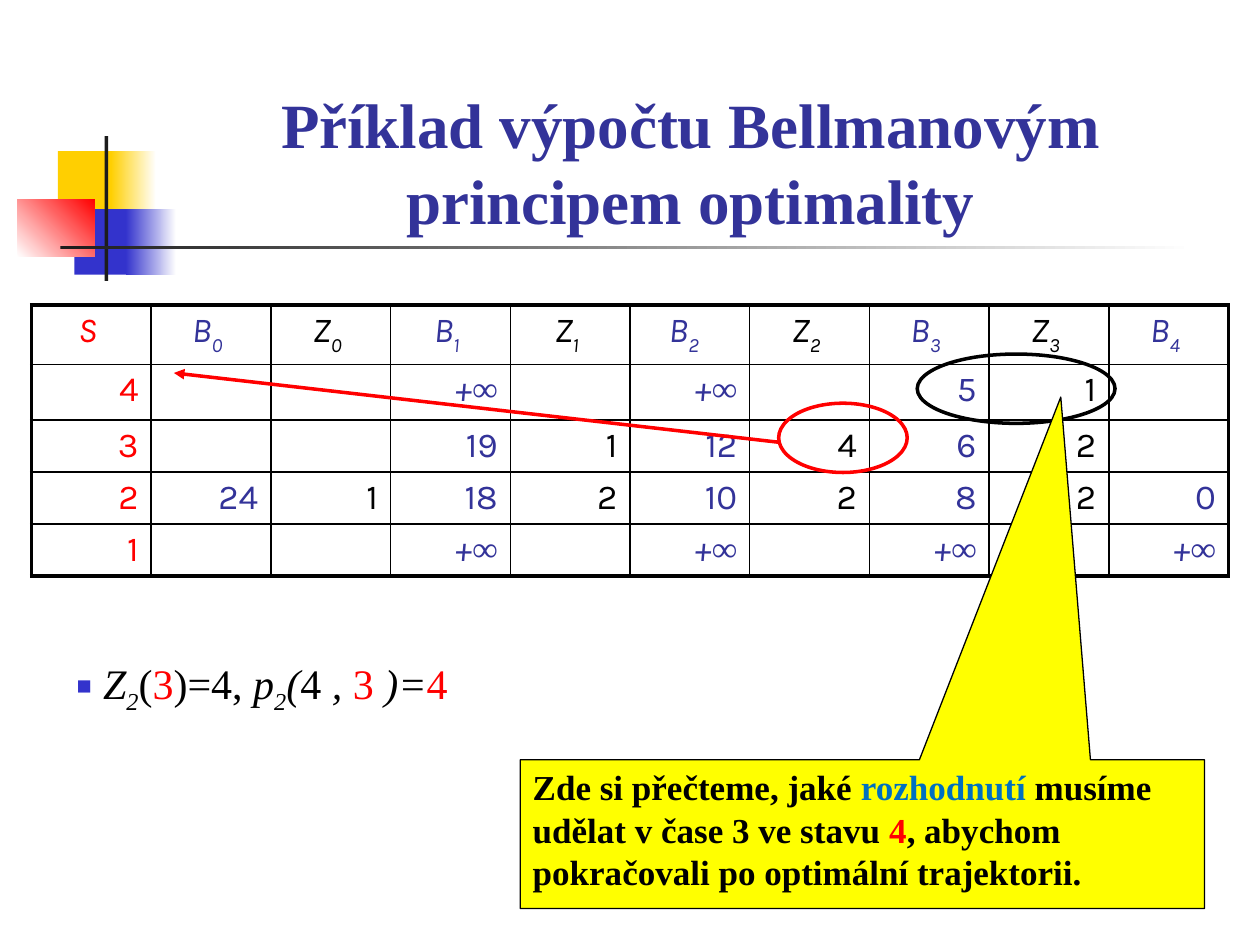
from pptx import Presentation
from pptx.dml.color import RGBColor
from pptx.enum.shapes import MSO_CONNECTOR, MSO_SHAPE
from pptx.enum.text import MSO_ANCHOR, PP_ALIGN
from pptx.oxml.ns import qn
from pptx.util import Inches, Pt
from lxml.etree import SubElement

RED = RGBColor(0xFF, 0x00, 0x00)
NAVY = RGBColor(0x33, 0x33, 0x99)
BLUE = RGBColor(0x33, 0x33, 0xCC)
SKY = RGBColor(0x00, 0x70, 0xC0)
GOLD = RGBColor(0xFF, 0xCF, 0x01)
YELLOW = RGBColor(0xFF, 0xFF, 0x00)
INK = RGBColor(0x1C, 0x1C, 0x1C)
BLACK = RGBColor(0x00, 0x00, 0x00)
WHITE = RGBColor(0xFF, 0xFF, 0xFF)
SERIF, SANS = "Times New Roman", "Karla"


def drop(node, tag, **attrs):
    """Add a DrawingML child to an XML node."""
    return SubElement(node, qn("a:" + tag), attrs)


class Deck:
    """Holds the text style and the current slide."""

    def __init__(self, slide):
        """Start with the plain serif style."""
        self.slide = slide
        self.base = dict(name=SERIF, size=Pt(24), bold=False, italic=False)

    def runs(self, para, parts, **style):
        """Fill a paragraph from (text, colour, format) parts."""
        for text, color, extra in parts:
            run = para.add_run()
            run.text = text
            form = {**self.base, **style, **extra}
            shift = form.pop("shift", None)
            for key, value in form.items():
                setattr(run.font, key, value)
            run.font.color.rgb = color
            if shift:
                run.font._element.set("baseline", str(shift * 1000))

    def text(self, box, parts, **style):
        """Add a wrapping text box and return its text frame."""
        frame = self.slide.shapes.add_textbox(*map(Inches, box)).text_frame
        frame.word_wrap = True
        self.runs(frame.paragraphs[0], parts, **style)
        return frame

    def shape(self, kind, box, fill=None, line=None, width=2, fade=None, angle=0):
        """Add a shape with a solid, fading or empty fill."""
        item = self.slide.shapes.add_shape(kind, *map(Inches, box))
        item.shadow.inherit = False
        if fade:
            item.fill.gradient()
            item.fill.gradient_angle = angle
            for stop, color in zip(item.fill.gradient_stops, fade):
                stop.color.rgb = color
        elif fill is not None:
            item.fill.solid()
            item.fill.fore_color.rgb = fill
        else:
            item.fill.background()
        if line is None:
            item.line.fill.background()
        else:
            item.line.color.rgb = line
            item.line.width = Pt(width)
        return item

    def arrow(self, start, end, color):
        """Add a line with a triangle at its end."""
        line = self.slide.shapes.add_connector(
            MSO_CONNECTOR.STRAIGHT, *map(Inches, start + end))
        line.line.color.rgb = color
        line.line.width = Pt(2)
        drop(line.line._get_or_add_ln(), "tailEnd", type="triangle")
        drop(line._element.spPr, "effectLst")

    def border(self, cell, sides):
        """Draw the cell sides, given as a dict of widths in points."""
        props = cell._tc.get_or_add_tcPr()
        for spot, (side, width) in enumerate(sides.items()):
            line = props.makeelement(qn("a:ln" + side), {"w": str(Pt(width))})
            drop(drop(line, "solidFill"), "srgbClr", val=str(BLACK))
            props.insert(spot, line)

    def table(self, box, heights, rows):
        """Add a ruled table whose cells are lists of text parts."""
        last, end = len(rows) - 1, len(rows[0]) - 1
        grid = self.slide.shapes.add_table(
            last + 1, end + 1, *map(Inches, box)).table
        grid.first_row = grid.horz_banding = False
        for r, row in enumerate(rows):
            grid.rows[r].height = Inches(heights[r])
            for c, parts in enumerate(row):
                cell = grid.cell(r, c)
                cell.fill.background()
                cell.margin_left = cell.margin_top = cell.margin_bottom = Inches(0.04)
                cell.margin_right = Inches(0.1)
                para = cell.text_frame.paragraphs[0]
                para.alignment = PP_ALIGN.RIGHT if r else PP_ALIGN.CENTER
                self.runs(para, parts, name=SANS, size=Pt(20))
                edges = dict(L=c == 0, R=c == end, T=r == 0, B=r == last)
                self.border(cell, {k: 2.25 if v else 1 for k, v in edges.items()})


ITAL = dict(italic=True)
SUB = dict(italic=True, shift=-25)
LOW = dict(italic=True, shift=-30)
HEADS = ["S", "B0", "Z0", "B1", "Z1", "B2 ", "Z2", "B3", "Z3", "B4"]
VALUES = [
    ["4", "", "", "+∞", "", "+∞", "", "5", "1", ""],
    ["3", "", "", "19", "1", "12", "4", "6", "2", ""],
    ["2", "24", "1", "18", "2", "10", "2", "8", "2", "0"],
    ["1", "", "", "+∞", "", "+∞", "", "+∞", "", "+∞"],
]


def tint(col):
    """Give the text colour of a column."""
    return RED if col == 0 else NAVY if col % 2 else BLACK


def head(col, name):
    """Split a heading into its letter and its index."""
    parts = [(name[0], tint(col), ITAL)]
    return parts + [(name[1:], tint(col), LOW)] if name[1:] else parts


def value(col, text):
    """Make the text parts of a table value."""
    if text == "+∞":
        return [("+", tint(col), ITAL), ("∞", tint(col), dict(ITAL, name=SERIF))]
    return [(text, tint(col), {})] if text else []


prs = Presentation()
prs.slide_width, prs.slide_height = Inches(10), Inches(7.5)
deck = Deck(prs.slides.add_slide(prs.slide_layouts[6]))

for box, look in [
    ((0.46, 1.2, 0.48, 0.52), dict(fill=GOLD)),
    ((0.88, 1.2, 0.36, 0.52), dict(fade=(GOLD, WHITE))),
    ((0.59, 1.66, 0.46, 0.52), dict(fill=BLUE)),
    ((1, 1.66, 0.4, 0.52), dict(fade=(BLUE, WHITE))),
    ((0.14, 1.58, 0.61, 0.46), dict(fade=(WHITE, RED), angle=45)),
    ((0.83, 1.08, 0.03, 1.15), dict(fill=INK)),
    ((0.48, 1.95, 9, 0.03), dict(fade=(INK, WHITE))),
]:
    deck.shape(MSO_SHAPE.RECTANGLE, box, **look)

title = deck.text((1.22, 0.68, 8.52, 1.25),
                  [("Příklad výpočtu Bellmanovým principem optimality", NAVY, {})],
                  size=Pt(36), bold=True)
title.vertical_anchor = MSO_ANCHOR.BOTTOM
title.paragraphs[0].alignment = PP_ALIGN.CENTER

rows = [[head(c, name) for c, name in enumerate(HEADS)]]
rows += [[value(c, text) for c, text in enumerate(row)] for row in VALUES]
deck.table((0.25, 2.42, 9.5, 2.13), [0.46, 0.44, 0.41, 0.41, 0.41], rows)

deck.shape(MSO_SHAPE.OVAL, (6.18, 3.2, 1.02, 0.55), line=RED)
deck.arrow((6.18, 3.51), (1.38, 2.96), RED)

note = deck.text((0.51, 5.17, 3.46, 0.71), [
    ("Z", BLACK, ITAL), ("2", BLACK, SUB), ("(", BLACK, {}), ("3", RED, {}),
    (")=4, ", BLACK, {}), ("p", BLACK, ITAL), ("2", BLACK, SUB),
    ("(", BLACK, ITAL), ("4", BLACK, {}), (" , ", BLACK, ITAL),
    ("3", RED, {}), (" )=", BLACK, ITAL), ("4", RED, {})])
note.paragraphs[0].space_before = Pt(3)
props = note.paragraphs[0]._p.get_or_add_pPr()
props.set("marL", str(Inches(0.21)))
props.set("indent", str(Inches(-0.21)))
drop(drop(props, "buClr"), "srgbClr", val=str(BLUE))
drop(props, "buSzPct", val="60000")
drop(props, "buFont", typeface=SERIF)
drop(props, "buChar", char="■")

deck.shape(MSO_SHAPE.OVAL, (7.28, 2.81, 1.57, 0.55), line=BLACK)

call = deck.shape(MSO_SHAPE.RECTANGULAR_CALLOUT, (4.13, 6.03, 5.43, 1.18),
                  fill=YELLOW, line=BLACK, width=0.75)
call.adjustments[0], call.adjustments[1] = 0.29, -2.94
call.text_frame.word_wrap = True
call.text_frame.vertical_anchor = MSO_ANCHOR.TOP
para = call.text_frame.paragraphs[0]
para.alignment = PP_ALIGN.LEFT
deck.runs(para, [
    ("Zde si přečteme, jaké ", BLACK, {}), ("rozhodnutí ", SKY, {}),
    ("musíme udělat v čase 3 ve stavu ", BLACK, {}), ("4", RED, {}),
    (", abychom pokračovali po optimální trajektorii.", BLACK, {}),
], size=Pt(20), bold=True)

prs.save("out.pptx")
